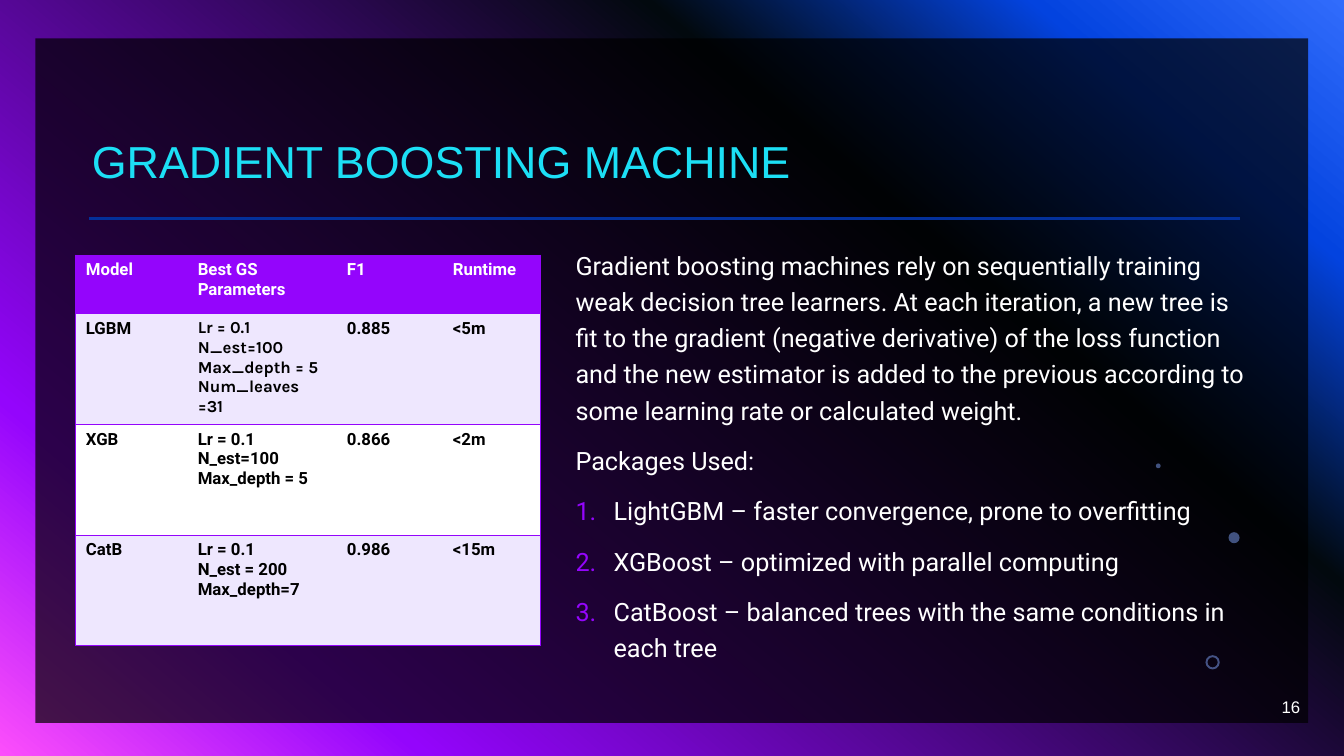
from lxml import etree
from pptx import Presentation
from pptx.dml.color import RGBColor
from pptx.enum.shapes import MSO_CONNECTOR, MSO_SHAPE
from pptx.enum.text import MSO_ANCHOR, MSO_AUTO_SIZE, PP_ALIGN
from pptx.oxml import parse_xml
from pptx.oxml.ns import nsdecls, qn
from pptx.util import Cm, Pt

RECT, OVAL, DONUT = MSO_SHAPE.RECTANGLE, MSO_SHAPE.OVAL, MSO_SHAPE.DONUT
STRAIGHT = MSO_CONNECTOR.STRAIGHT
TOP, MIDDLE, BOTTOM = MSO_ANCHOR.TOP, MSO_ANCHOR.MIDDLE, MSO_ANCHOR.BOTTOM
LEFT, RIGHT = PP_ALIGN.LEFT, PP_ALIGN.RIGHT
NO_FIT = MSO_AUTO_SIZE.NONE

PURPLE, WHITE, BLACK = "9405FC", "FFFFFF", "000000"
LILAC, CYAN, PALE_BLUE, RULE_BLUE = "EEE7FE", "1CDFF5", "83A7FD", "03309A"
STOPS = [(0, "316CFC"), (14, "0343DF"), (31, "02090E"), (81, PURPLE), (100, "FC4EFB")]

TITLE_FONT = {"size": Pt(32), "name": "Arial", "bold": False}
BODY_FONT = {"size": Pt(18), "name": "Roboto"}
CELL_FONT = {"size": Pt(12), "name": "Roboto", "bold": True}
KARLA_FONT = {**CELL_FONT, "name": "Karla"}
NUMBER_FONT = {"size": Pt(12), "name": "Arial"}

INTRO = [
    "Gradient boosting machines rely on sequentially training weak decision tree "
    "learners. At each iteration, a new tree is fit to the gradient (negative "
    "derivative) of the loss function and the new estimator is added to the "
    "previous according to some learning rate or calculated weight.",
    "Packages Used:",
]
PACKAGES = [
    "LightGBM – faster convergence, prone to overfitting",
    "XGBoost – optimized with parallel computing",
    "CatBoost – balanced trees with the same conditions in each tree",
]
RESULTS = [
    ["Model", "Best GS Parameters", "F1", "Runtime"],
    ["LGBM", "Lr = 0.1\nN_est=100\nMax_depth = 5\nNum_leaves =31", "0.885", "<5m"],
    ["XGB", "Lr = 0.1\nN_est=100\nMax_depth = 5", "0.866", "<2m"],
    ["CatB", "Lr = 0.1\nN_est = 200\nMax_depth=7", "0.986", "<15m"],
]
COLUMN_WIDTHS = [2.82, 3.76, 2.67, 2.46]
ROW_HEIGHTS = [1.47, 2.79, 2.79, 2.79]


def rgb(value):
    return RGBColor.from_string(value)


def set_all(target, values):
    for key, value in values.items():
        setattr(target, key, value)


def write(p, text, font, color):
    r = p.add_run()
    r.text = text
    set_all(r.font, font)
    r.font.color.rgb = rgb(color)


def place(sp, box):
    names = ("left", "top", "width", "height")
    set_all(sp, {name: Cm(value) for name, value in zip(names, box)})


def to_front(sp):
    sp.element.getparent().append(sp.element)


def add_tinted(s, kind, box, color, alpha):
    sp = s.shapes.add_shape(kind, *map(Cm, box))
    sp.shadow.inherit = False
    sp.line.fill.background()
    sp.fill.solid()
    sp.fill.fore_color.rgb = rgb(color)
    clr = sp.element.spPr.find(".//" + qn("a:srgbClr"))
    etree.SubElement(clr, qn("a:alpha")).set("val", str(alpha * 1000))
    return sp


def add_background(s):
    stops = "".join(
        f'<a:gs pos="{pos * 1000}"><a:srgbClr val="{color}"/></a:gs>'
        for pos, color in STOPS)
    s.element.cSld.insert(0, parse_xml(
        f'<p:bg {nsdecls("p", "a")}><p:bgPr><a:gradFill rotWithShape="1">'
        f'<a:gsLst>{stops}</a:gsLst><a:lin ang="{130 * 60000}" scaled="0"/>'
        '</a:gradFill><a:effectLst/></p:bgPr></p:bg>'))


def add_panel(s, box):
    left, top, width, _ = box
    add_tinted(s, RECT, box, BLACK, 70)
    # Rule under the title
    y = Cm(top + 4.54)
    rule = s.shapes.add_connector(
        STRAIGHT, Cm(left + 1.35), y, Cm(left + width - 1.73), y)
    rule.line.color.rgb = rgb(RULE_BLUE)
    rule.line.width = Pt(2)
    etree.SubElement(rule.element.spPr, qn("a:effectLst"))


def add_bubbles(s, box):
    left, top, width, height = box
    add_tinted(s, OVAL, (left, top, 0.12, 0.12), PALE_BLUE, 49)
    add_tinted(s, OVAL, (left + width - 0.28, top + 1.73, 0.28, 0.28), PALE_BLUE, 49)
    ring = add_tinted(
        s, DONUT, (left + 1.25, top + height - 0.36, 0.36, 0.36), PALE_BLUE, 49)
    ring.adjustments[0] = 0.14


def add_title(s, box):
    sp = s.shapes.title
    place(sp, box)
    to_front(sp)
    tf = sp.text_frame
    set_all(tf, {"vertical_anchor": BOTTOM, "word_wrap": True, "auto_size": NO_FIT})
    p = tf.paragraphs[0]
    set_all(p, {"alignment": LEFT, "line_spacing": 0.9})
    write(p, "GRADIENT BOOSTING MACHINE", TITLE_FONT, CYAN)


def set_bullet(p, numbered):
    pPr = p._p.get_or_add_pPr()
    indent = Cm(0.96) if numbered else 0
    pPr.set("marL", str(indent))
    pPr.set("indent", str(-indent))
    if numbered:
        clr = etree.SubElement(pPr, qn("a:buClr"))
        etree.SubElement(clr, qn("a:srgbClr")).set("val", PURPLE)
        etree.SubElement(pPr, qn("a:buFont")).set("typeface", "Roboto")
        etree.SubElement(pPr, qn("a:buAutoNum")).set("type", "arabicPeriod")
    else:
        etree.SubElement(pPr, qn("a:buNone"))


def add_body(s, box):
    sp = s.placeholders[1]
    place(sp, box)
    to_front(sp)
    tf = sp.text_frame
    set_all(tf, {"vertical_anchor": TOP, "word_wrap": True, "auto_size": NO_FIT})
    for i, text in enumerate(INTRO + PACKAGES):
        p = tf.add_paragraph() if i else tf.paragraphs[0]
        set_all(p, {"line_spacing": 1.2, "space_before": Pt(10), "space_after": Pt(0)})
        set_bullet(p, i >= len(INTRO))
        write(p, text, BODY_FONT, WHITE)


def set_borders(cell, visible):
    tcPr = cell._tc.get_or_add_tcPr()
    for i, side in enumerate("LRTB"):
        paint = (f'<a:solidFill><a:srgbClr val="{PURPLE}"/></a:solidFill>'
                 if side in visible else "<a:noFill/>")
        tcPr.insert(i, parse_xml(
            f'<a:ln{side} {nsdecls("a")} w="{Pt(1)}">{paint}</a:ln{side}>'))


def add_results(s, box):
    rows, cols = len(RESULTS), len(COLUMN_WIDTHS)
    table = s.shapes.add_table(rows, cols, *map(Cm, box)).table
    for column, width in zip(table.columns, COLUMN_WIDTHS):
        column.width = Cm(width)
    for row, height in zip(table.rows, ROW_HEIGHTS):
        row.height = Cm(height)
    for i, values in enumerate(RESULTS):
        fill = PURPLE if i == 0 else LILAC if i % 2 else WHITE
        for j, value in enumerate(values):
            cell = table.cell(i, j)
            cell.fill.solid()
            cell.fill.fore_color.rgb = rgb(fill)
            set_borders(cell, "TB" + ("L" if j == 0 else "R" if j == cols - 1 else ""))
            font = KARLA_FONT if (i, j) == (1, 1) else CELL_FONT
            tf = cell.text_frame
            for k, text in enumerate(value.split("\n")):
                p = tf.add_paragraph() if k else tf.paragraphs[0]
                write(p, text, font, BLACK if i else WHITE)


def add_page_number(s, box):
    tf = s.shapes.add_textbox(*map(Cm, box)).text_frame
    set_all(tf, {"vertical_anchor": MIDDLE, "word_wrap": True})
    p = tf.paragraphs[0]
    p.alignment = RIGHT
    write(p, "16", NUMBER_FONT, WHITE)


def main():
    prs = Presentation()
    prs.slide_width, prs.slide_height = Cm(33.87), Cm(19.05)
    s = prs.slides.add_slide(prs.slide_layouts[1])
    # Backdrop
    add_background(s)
    add_panel(s, (0.89, 0.97, 32.08, 17.25))
    add_bubbles(s, (29.13, 11.68, 2.11, 5.19))
    # Content
    add_title(s, (2.06, 1.19, 29.16, 3.68))
    add_body(s, (14.25, 6.02, 17.55, 10.34))
    add_page_number(s, (25.4, 17.3, 7.62, 1.02))
    add_results(s, (1.91, 6.43, sum(COLUMN_WIDTHS), sum(ROW_HEIGHTS)))
    prs.save("out.pptx")


if __name__ == "__main__":
    main()
